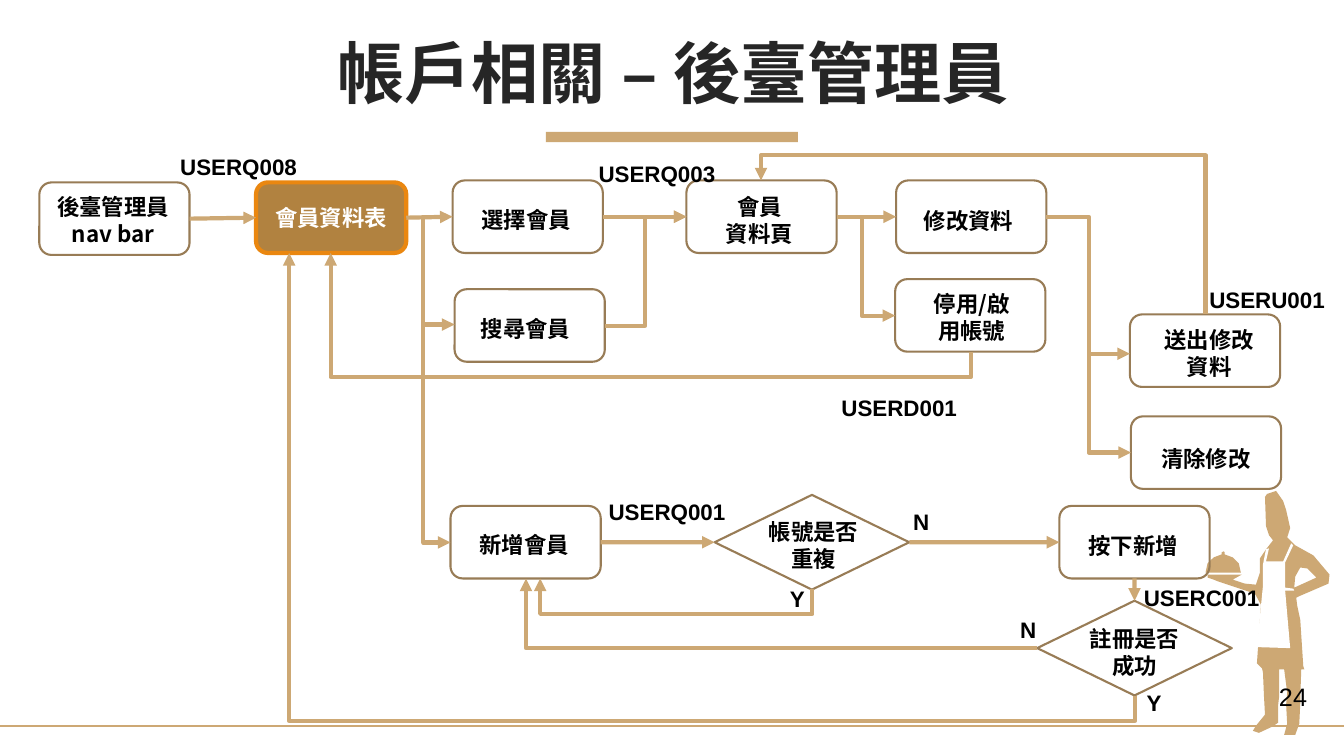
from dataclasses import dataclass

from lxml.etree import SubElement
from pptx import Presentation
from pptx.dml.color import RGBColor as Color
from pptx.enum.shapes import MSO_CONNECTOR as Wire, MSO_SHAPE as Form
from pptx.enum.text import MSO_ANCHOR as Anchor, PP_ALIGN as Align
from pptx.oxml.ns import qn
from pptx.util import Pt


@dataclass
class Theme:
    """Colours, fonts and type sizes of the deck."""
    gold: str = "CDA874"
    edge: str = "987C56"
    fill: str = "B18240"
    glow: str = "EA8710"
    ink: str = "000000"
    dark: str = "262626"
    white: str = "FFFFFF"
    han: str = "Noto Sans CJK SC"
    sans: str = "Arial"
    head: int = 48
    page: int = 18
    body: int = 16


def write(frame, words, size, font, color, bold=True, align=Align.CENTER,
          wrap=True, pad=(7.2, 3.6), nudge=(0, 0), lead=None, before=None):
    """Fill a text frame, one paragraph per line of words."""
    (px, py), (dx, dy) = pad, nudge
    frame.word_wrap = wrap
    frame.vertical_anchor = Anchor.MIDDLE
    frame.margin_left, frame.margin_right = Pt(px + dx), Pt(px - dx)
    frame.margin_top, frame.margin_bottom = Pt(py + dy), Pt(py - dy)
    for i, line in enumerate(words.split("\n")):
        para = frame.add_paragraph() if i else frame.paragraphs[0]
        para.text = line
        para.alignment = align
        if lead:
            para.line_spacing = lead
        if before:
            para.space_before = Pt(before)
        for run in para.runs:
            run.font.size, run.font.bold = Pt(size), bold
            run.font.name = font
            run.font.color.rgb = Color.from_string(color)
            SubElement(run.font._element, qn("a:ea"), typeface=font)


class Board:
    """Draws flow chart parts on one slide in one style."""

    def __init__(self, slide, theme):
        """Keep the slide's shapes and the theme."""
        self.shapes, self.theme = slide.shapes, theme

    def paint(self, shape, fill=None, line=None, width=1.5):
        """Set fill and outline and drop the shadow."""
        shape.shadow.inherit = False
        if fill:
            shape.fill.solid()
            shape.fill.fore_color.rgb = Color.from_string(fill)
        else:
            shape.fill.background()
        if line:
            shape.line.color.rgb = Color.from_string(line)
            shape.line.width = Pt(width)
        else:
            shape.line.fill.background()
        return shape

    def node(self, form, area, words="", fill=None, line=None, width=1.5, **fmt):
        """Add a preset shape, with text if given."""
        shape = self.paint(self.shapes.add_shape(form, *map(Pt, area)), fill, line, width)
        if words:
            look = dict(size=self.theme.body, font=self.theme.han, color=self.theme.ink)
            write(shape.text_frame, words, **{**look, **fmt})
        return shape

    def step(self, x, y, words, nudge, pad=6):
        """Add a rounded step of the flow."""
        return self.node(Form.ROUNDED_RECTANGLE, (x, y, 107.3, 51.8), words,
                         line=self.theme.edge, nudge=nudge, pad=(pad, 5))

    def ask(self, x, y, words, nudge):
        """Add a decision diamond."""
        return self.node(Form.FLOWCHART_DECISION, (x, y, 139, 67.7), words,
                         line=self.theme.edge, nudge=nudge, pad=(2, 4), wrap=False)

    def label(self, area, words, **fmt):
        """Add a free text box."""
        look = dict(size=self.theme.body, font=self.theme.sans, color=self.theme.ink)
        box = self.shapes.add_textbox(*map(Pt, area))
        write(box.text_frame, words, **{**look, **fmt})

    def wire(self, start, end, kind=Wire.STRAIGHT, width=3, arrow=True):
        """Add a connector between two points."""
        link = self.shapes.add_connector(kind, *map(Pt, (*start, *end)))
        link.line.color.rgb = Color.from_string(self.theme.gold)
        link.line.width = Pt(width)
        props = link.element.spPr
        if arrow:
            SubElement(props.find(qn("a:ln")), qn("a:tailEnd"), type="triangle")
        SubElement(props, qn("a:effectLst"))
        return link

    def join(self, one, out, two, into):
        """Join two shapes side to side with an arrow."""
        link = self.wire((0, 0), (0, 0))
        link.begin_connect(one, out)
        link.end_connect(two, into)

    def bend(self, start, end, down=False, mid=None):
        """Add an elbow arrow, leaving vertically if down, crossing at mid."""
        (x1, y1), (x2, y2) = start, end
        dx, dy = x2 - x1, y2 - y1
        if down:
            cx, cy = (x1 + x2) / 2, (y1 + y2) / 2
            start = cx - dy / 2, cy + dx / 2
            end = cx + dy / 2, cy - dx / 2
        props = self.wire(start, end, Wire.ELBOW).element.spPr
        if down:
            props.find(qn("a:xfrm")).set("rot", "5400000")
        geom = props.find(qn("a:prstGeom"))
        if mid is None:
            geom.set("prst", "bentConnector2")
        else:
            part = (mid - y1) / dy if down else (mid - x1) / dx
            SubElement(geom.find(qn("a:avLst")), qn("a:gd"),
                       name="adj1", fmla=f"val {round(part * 100000)}")

    def patch(self, fill, *rings):
        """Add a filled outline, in steps of 0.72 points."""
        pen = self.shapes.build_freeform(*rings[0][0], scale=Pt(0.72))
        for i, ring in enumerate(rings):
            if i:
                pen.move_to(*ring[0])
            pen.add_line_segments(ring[1:], close=True)
        self.paint(pen.convert_to_shape(), fill)


def chef(board):
    """Draw the waiter figure with apron and dish."""
    gold, white = board.theme.gold, board.theme.white
    body = [
        (1198, 570), (1232, 570), (1223, 575), (1235, 579), (1246, 580), (1250, 568),
        (1250, 554), (1256, 545), (1263, 536), (1259, 531), (1256, 522), (1255, 493),
        (1257, 490), (1266, 487), (1273, 497), (1276, 506), (1280, 524), (1277, 533),
        (1285, 541), (1303, 551), (1319, 570), (1318, 579), (1290, 591), (1286, 593),
        (1287, 601), (1290, 615), (1293, 661), (1294, 664), (1291, 664), (1290, 692),
        (1290, 698), (1289, 718), (1285, 729), (1274, 729), (1277, 718), (1276, 699),
        (1277, 687), (1274, 664), (1269, 664), (1269, 691), (1268, 700), (1268, 717),
        (1262, 721), (1249, 727), (1243, 725), (1246, 720), (1255, 709), (1254, 691),
        (1253, 667), (1252, 663), (1247, 658), (1251, 600), (1245, 589), (1209, 577),
        (1204, 575), (1198, 573)]
    arm = [(1284, 583), (1306, 573), (1297, 564), (1290, 563), (1285, 572)]
    apron = [
        (1281, 539), (1273, 557), (1256, 557), (1259, 544), (1256, 545), (1253, 560),
        (1253, 581), (1247, 642), (1280, 643), (1275, 586), (1284, 586), (1283, 584),
        (1275, 583), (1275, 558), (1283, 541)]
    dish = [
        (1214, 547), (1212, 548), (1212, 550), (1204, 553), (1198, 559), (1196, 568),
        (1231, 568), (1229, 559), (1223, 553), (1215, 550), (1215, 548)]
    board.patch(gold, body, arm)
    board.patch(white, apron)
    board.patch(gold, dish)


def main():
    """Build the slide and save it."""
    deck = Presentation()
    deck.slide_width, deck.slide_height = Pt(960), Pt(540)
    theme = Theme()
    board = Board(deck.slides.add_slide(deck.slide_layouts[6]), theme)

    board.node(Form.RECTANGLE, (390, 94.3, 180, 7.2), fill=theme.gold)
    board.wire((0, 518.4), (960, 518.4), width=1.5, arrow=False)
    chef(board)
    board.label((25.2, 26.6, 911.5, 56.9), "帳戶相關 – 後臺管理員", size=theme.head,
                font=theme.han, color=theme.dark, lead=0.9, before=10)
    board.label((906.5, 483.1, 34.6, 28.8), "24", size=theme.page, bold=False,
                align=Align.LEFT, wrap=False)

    top, low = 128.9, 361.4
    nav = board.step(28.1, 130.3, "後臺管理員\vnav bar", (-1, 1))
    users = board.node(Form.FLOWCHART_ALTERNATE_PROCESS, (182.9, 130.3, 107.3, 50.4),
                       "會員資料表", theme.fill, theme.glow, 3, color=theme.white)
    pick = board.step(323.3, top, "選擇會員", (-1, 2))
    board.step(324.7, 206.6, "搜尋會員", (-3, 2.5))
    new = board.step(321.8, low, "新增會員", (-1, 2))
    page = board.step(490.3, top, "會員\v資料頁", (-1.5, 2.5))
    edit = board.step(640.1, top, "修改資料", (-2, 3))
    board.step(639.4, 199.4, "停用/啟用帳號", (1, 1), pad=20)
    board.step(807.1, 224.6, "送出修改\n資料", (3, 2))
    board.step(807.8, 297.4, "清除修改", (0, 4))
    press = board.step(756.7, low, "按下新增", (-1, 2.5))
    same = board.ask(510.5, 353.5, "帳號是否\v重複", (1, 2))
    done = board.ask(740.9, 429.1, "註冊是否\v成功", (0, 3))

    for one, two in ((nav, users), (users, pick), (pick, page), (page, edit),
                     (new, same), (same, press)):
        board.join(one, 3, two, 1)
    board.join(press, 2, done, 0)
    board.wire((777.6, 252.7), (807.1, 252.7))
    for start, end, down, mid in (
            ((302.4, 156.2), (324.7, 231.8), True, None),
            ((302.4, 211), (321.8, 387.4), True, None),
            ((615.6, 154.8), (639.4, 225.4), True, None),
            ((432, 232.6), (490.3, 154.8), False, 460.8),
            ((747.4, 154.8), (807.8, 323.3), False, 777.6),
            ((861.1, 224.6), (543.6, 128.9), True, 110.9),
            ((693.4, 251.3), (236.2, 180.7), True, 269.3),
            ((810.7, 496.8), (206.6, 180.7), True, 514.8),
            ((580.3, 420.5), (385.9, 413.3), True, 438.5),
            ((740.9, 463), (375.8, 413.3), False, None)):
        board.bend(start, end, down, mid)

    for x, y, code in ((121.7, 105.8, "USERQ008"), (420.5, 110.9, "USERQ003"),
                       (856.8, 200.9, "USERU001"), (594, 277.9, "USERD001"),
                       (810, 413.3, "USERC001"), (427.7, 352.1, "USERQ001")):
        board.label((x, y, 98.3, 26.6), code, align=Align.LEFT, wrap=False)
    for x, y, mark in ((806.4, 488.2, "Y"), (551.5, 414, "Y"),
                       (640.1, 359.3, "N"), (716.4, 436.3, "N")):
        board.label((x, y, 36, 26.6), mark)
    deck.save("out.pptx")


if __name__ == "__main__":
    main()
